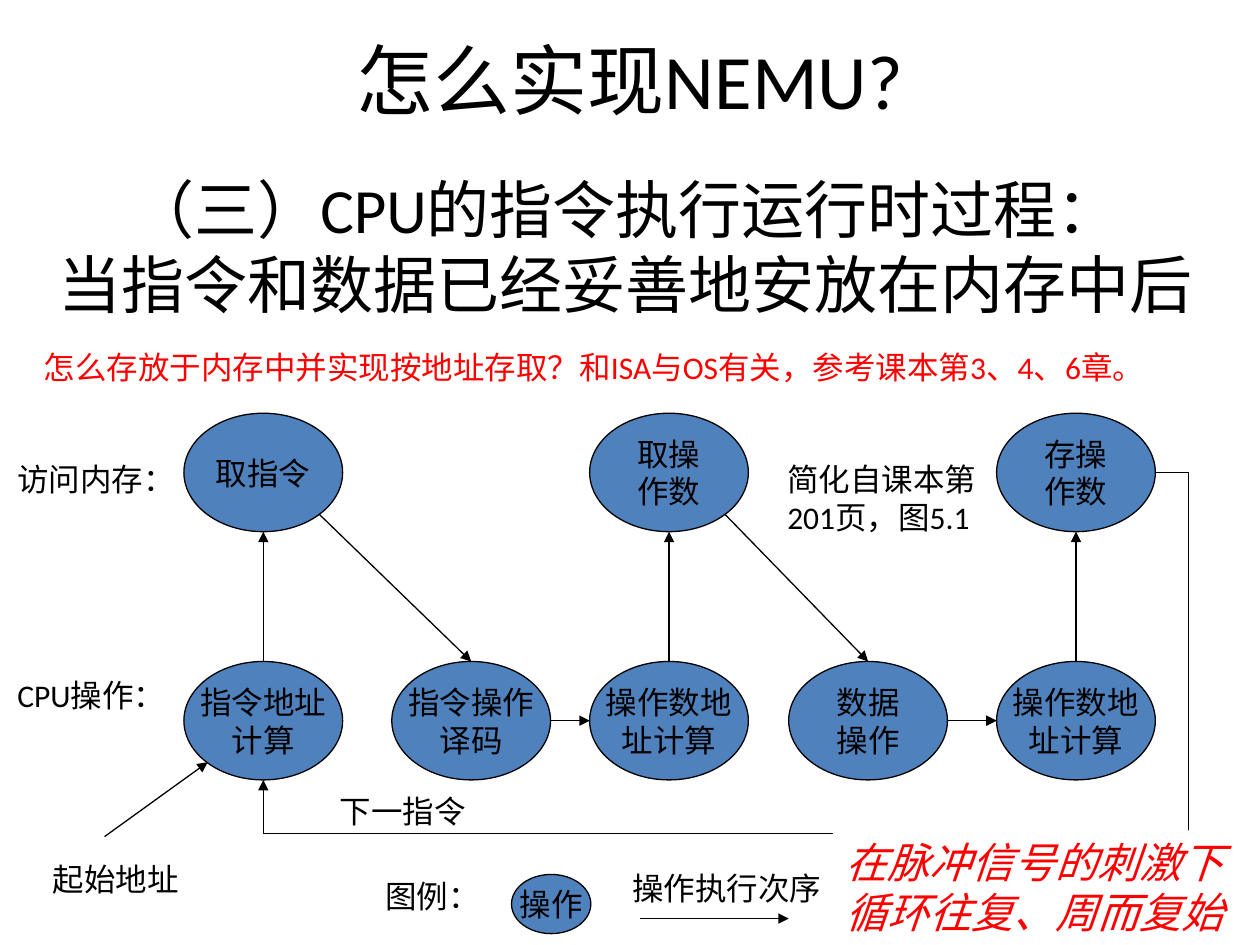
import pptx
import pptx.dml.color
import pptx.enum.shapes
import pptx.enum.text
import pptx.oxml
import pptx.oxml.ns
import pptx.util

Inches, Pt = pptx.util.Inches, pptx.util.Pt
RGBColor = pptx.dml.color.RGBColor
ALIGN = pptx.enum.text.PP_ALIGN
ANCHOR = pptx.enum.text.MSO_ANCHOR
SHAPE = pptx.enum.shapes.MSO_SHAPE
CONNECTOR = pptx.enum.shapes.MSO_CONNECTOR

BLACK = RGBColor(0x00, 0x00, 0x00)
BLUE = RGBColor(0x4F, 0x81, 0xBD)
RED = RGBColor(0xFF, 0x00, 0x00)
WHITE = RGBColor(0xFF, 0xFF, 0xFF)
FONT = "Calibri"

# Grid of operation nodes: left edges of columns, top edges of rows
COLUMNS = [1.46, 3.11, 4.68, 6.26, 7.91]
MEMORY_ROW, CPU_ROW = 3.28, 5.25
NODE_WIDTH, NODE_HEIGHT = 1.26, 0.94

# Ellipse connection sites: index and position as shares of the size
SITES = {
    "top": (0, 0.5, 0),
    "left": (2, 0, 0.5),
    "bottom left": (3, 0.15, 0.85),
    "bottom": (4, 0.5, 1),
    "bottom right": (5, 0.85, 0.85),
    "right": (6, 1, 0.5),
    "top left": (1, 0.15, 0.15),
}


def write_text(shape, text, size=18, color=BLACK, align=ALIGN.LEFT, italic=None):
    shape.text_frame.text = text
    for paragraph in shape.text_frame.paragraphs:
        paragraph.alignment = align
        paragraph.font.name = FONT
        paragraph.font.size = Pt(size)
        paragraph.font.color.rgb = color
        paragraph.font.italic = italic


def add_label(slide, text, left, top, width, height=0.4, **style):
    label = slide.shapes.add_textbox(*map(Inches, (left, top, width, height)))
    label.text_frame.word_wrap = True
    write_text(label, text, **style)
    return label


def add_node(slide, text, left, top, scale=1):
    node = slide.shapes.add_shape(
        SHAPE.OVAL, Inches(left), Inches(top),
        Inches(NODE_WIDTH * scale), Inches(NODE_HEIGHT * scale))
    node.shadow.inherit = False
    node.fill.solid()
    node.fill.fore_color.rgb = BLUE
    node.line.color.rgb = BLACK
    node.line.width = Pt(0.75)
    node.text_frame.word_wrap = False
    node.text_frame.vertical_anchor = ANCHOR.MIDDLE
    write_text(node, text, align=ALIGN.CENTER)
    return node


def add_arrow(slide, begin, end, kind=CONNECTOR.STRAIGHT):
    arrow = slide.shapes.add_connector(kind, *begin, *end)
    arrow.line.color.rgb = BLACK
    arrow.line.width = Pt(0.75)
    line = arrow.line._get_or_add_ln()
    head = pptx.oxml.parse_xml(
        f'<a:tailEnd {pptx.oxml.ns.nsdecls("a")} type="triangle" w="med" len="med"/>')
    line.append(head)
    effects = pptx.oxml.parse_xml(f'<a:effectLst {pptx.oxml.ns.nsdecls("a")}/>')
    arrow._element.spPr.append(effects)
    return arrow


def site_point(node, site):
    _, across, down = SITES[site]
    return (int(node.left + across * node.width),
            int(node.top + down * node.height))


def link_nodes(slide, source, source_site, target, target_site,
               kind=CONNECTOR.STRAIGHT):
    arrow = add_arrow(slide, site_point(source, source_site),
                      site_point(target, target_site), kind)
    properties = arrow._element.xpath("./p:nvCxnSpPr/p:cNvCxnSpPr")[0]
    for tag, node, site in (("stCxn", source, source_site),
                            ("endCxn", target, target_site)):
        properties.append(pptx.oxml.parse_xml(
            f'<a:{tag} {pptx.oxml.ns.nsdecls("a")} '
            f'id="{node.shape_id}" idx="{SITES[site][0]}"/>'))
    return arrow


def route_around(arrow, *adjustments):
    """Give an elbow connector three bends, placed by shares of its size."""
    geometry = arrow._element.spPr.xpath("./a:prstGeom")[0]
    geometry.set("prst", "bentConnector4")
    for old in geometry.xpath("./a:avLst"):
        geometry.remove(old)
    guides = "".join(
        f'<a:gd name="adj{number}" fmla="val {round(share * 100000)}"/>'
        for number, share in enumerate(adjustments, 1))
    geometry.append(pptx.oxml.parse_xml(
        f'<a:avLst {pptx.oxml.ns.nsdecls("a")}>{guides}</a:avLst>'))


def add_flow(slide):
    # Operations
    address, decode, operand_address, compute, result_address = [
        add_node(slide, text, left, CPU_ROW) for text, left in zip(
            ["指令地址\n计算", "指令操作\n译码", "操作数地\n址计算",
             "数据\n操作", "操作数地\n址计算"], COLUMNS)]
    fetch, load, store = [
        add_node(slide, text, left, MEMORY_ROW) for text, left in zip(
            ["取指令", "取操\n作数", "存操\n作数"], COLUMNS[::2])]

    # Execution order
    for source, source_site, target, target_site in [
            (address, "top", fetch, "bottom"),
            (fetch, "bottom right", decode, "top"),
            (decode, "right", operand_address, "left"),
            (operand_address, "top", load, "bottom"),
            (load, "bottom right", compute, "top"),
            (compute, "right", result_address, "left"),
            (result_address, "top", store, "bottom")]:
        link_nodes(slide, source, source_site, target, target_site)

    # Back to the next instruction
    loop = link_nodes(slide, store, "right", address, "bottom", CONNECTOR.ELBOW)
    route_around(loop, -0.037, 1.174)

    # Entry
    add_arrow(slide, (Inches(0.83), Inches(6.64)),
              site_point(address, "bottom left"))


def add_legend(slide):
    add_label(slide, "图例：", 2.96, 6.91, 1.1)
    add_node(slide, "操作", 4.06, 6.94, scale=0.5)
    add_arrow(slide, (Inches(5.08), Inches(7.29)), (Inches(6.26), Inches(7.29)))
    add_label(slide, "操作执行次序", 4.92, 6.85, 2.07)


def add_conclusion(slide):
    box = slide.shapes.add_shape(
        SHAPE.RECTANGLE, *map(Inches, (6.61, 6.59, 3.35, 0.9)))
    box.shadow.inherit = False
    box.fill.solid()
    box.fill.fore_color.rgb = WHITE
    box.line.fill.background()
    box.text_frame.word_wrap = True
    box.text_frame.vertical_anchor = ANCHOR.TOP
    write_text(box, "在脉冲信号的刺激下循环往复、周而复始",
               size=24, color=RED, italic=True)


def main():
    presentation = pptx.Presentation()
    presentation.slide_width = Inches(10)
    presentation.slide_height = Inches(7.5)
    slide = presentation.slides.add_slide(presentation.slide_layouts[5])

    # Headings
    title = slide.shapes.title
    title.left, title.top, title.width, title.height = map(
        Inches, (0.5, 0, 9, 1.25))
    title.text_frame.vertical_anchor = ANCHOR.MIDDLE
    write_text(title, "怎么实现NEMU?", size=44, align=ALIGN.CENTER)
    add_label(slide, "（三）CPU的指令执行运行时过程：\n当指令和数据已经妥善地安放在内存中后",
              0.2, 1.3, 9.53, 1.31, size=36, align=ALIGN.CENTER)

    # Diagram and its labels
    add_flow(slide)
    add_label(slide, "访问内存：", 0.04, 3.6, 2.09)
    add_label(slide, "CPU操作：", 0.04, 5.32, 2.09)
    add_label(slide, "简化自课本第201页，图5.1", 6.15, 3.6, 1.84, 0.7)
    add_label(slide, "下一指令", 2.6, 6.24, 1.77)
    add_label(slide, "起始地址", 0.32, 6.78, 1.77)
    add_legend(slide)

    # Remarks in red
    add_label(slide, "怎么存放于内存中并实现按地址存取？和ISA与OS有关，参考课本第3、4、6章。",
              0.25, 2.71, 8.92, color=RED)
    add_conclusion(slide)

    presentation.save("out.pptx")


if __name__ == "__main__":
    main()
